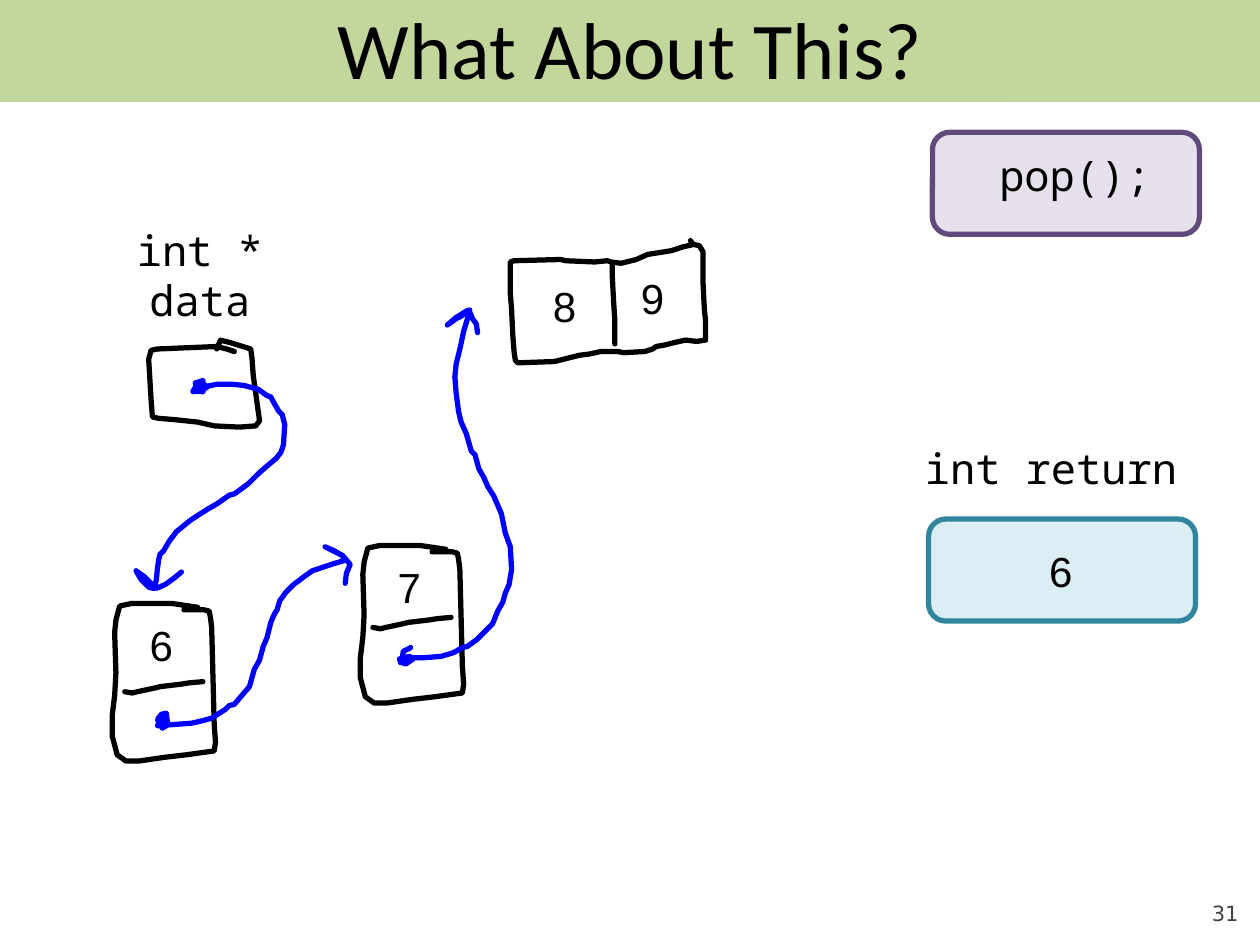
from dataclasses import dataclass

from lxml import etree
from pptx import Presentation
from pptx.dml.color import RGBColor
from pptx.enum.shapes import MSO_SHAPE
from pptx.enum.text import MSO_ANCHOR, MSO_AUTO_SIZE, PP_ALIGN
from pptx.oxml.ns import qn
from pptx.slide import Slide
from pptx.util import Pt

ROUNDED = MSO_SHAPE.ROUNDED_RECTANGLE
LEFT_ALIGN, CENTER, RIGHT = PP_ALIGN.LEFT, PP_ALIGN.CENTER, PP_ALIGN.RIGHT
TOP, MIDDLE, BOTTOM = MSO_ANCHOR.TOP, MSO_ANCHOR.MIDDLE, MSO_ANCHOR.BOTTOM
Points = list[tuple[int, int]]


@dataclass(frozen=True)
class Theme:
    ink: str = "000000"
    pointer: str = "0000FF"
    band: str = "C3D69B"
    call_fill: str = "E6E0EC"
    call_line: str = "604A7B"
    result_fill: str = "DBEEF4"
    result_line: str = "31859C"
    page: str = "424242"
    title_font: str = "Calibri"
    code_font: str = "Noto Sans Mono"
    value_font: str = "Arial"
    page_font: str = "DejaVu Sans"
    title_size: float = 46
    body_size: float = 24
    page_size: float = 12
    stroke: float = 3
    pen_unit: float = 0.72  # one step of the pen grid, in points


THEME = Theme()


@dataclass(frozen=True)
class Box:
    left: float
    top: float
    width: float
    height: float

    def lengths(self) -> tuple[Pt, Pt, Pt, Pt]:
        return Pt(self.left), Pt(self.top), Pt(self.width), Pt(self.height)


@dataclass(frozen=True)
class Panel:
    box: Box
    fill: str
    line: str | None = None
    corner: float = 0.17


@dataclass(frozen=True)
class Label:
    text: str
    box: Box
    font: str = THEME.value_font
    align: PP_ALIGN = RIGHT


@dataclass(frozen=True)
class Node:
    """A linked-list node: pen-grid origins of its outline and its divider."""
    outline: tuple[int, int]
    divider: tuple[int, int]


PANELS = [
    Panel(Box(0, 0, 720, 58.3), THEME.band, corner=0.001),
    Panel(Box(532.8, 75.6, 152.6, 58.3), THEME.call_fill, THEME.call_line),
    Panel(Box(530.6, 296.6, 152.6, 58.3), THEME.result_fill, THEME.result_line),
]

LABELS = [
    Label("int *\ndata", Box(70.6, 124.6, 87.1, 65.5), THEME.code_font, CENTER),
    Label("pop();", Box(563, 82.1, 101.5, 36), THEME.code_font),
    Label("int return", Box(520.6, 249.1, 159.8, 36.7), THEME.code_font, CENTER),
    Label("9", Box(358.6, 151.9, 28.1, 36.7)),
    Label("8", Box(308.2, 157, 28.1, 36.7)),
    Label("7", Box(219.6, 317.5, 28.1, 36.7)),
    Label("6", Box(77.8, 350.6, 28.1, 36.7)),
    Label("6", Box(591.8, 308.2, 28.1, 36.7)),
]

NODES = [Node((285, 433), (296, 498)), Node((88, 479), (99, 549))]

# Pen strokes, in pen-grid units
NODE_OUTLINE: Points = [
    (69, 3), (49, 0), (16, 0), (7, 2), (4, 13), (3, 23), (4, 55), (3, 73), (1, 89),
    (1, 105), (5, 120), (12, 125), (22, 125), (43, 122), (60, 120), (82, 117),
    (83, 110), (82, 96), (80, 19), (79, 11), (78, 6), (74, 5), (58, 5)]
NODE_DIVIDER: Points = [
    (0, 0), (6, 1), (10, 0), (24, -3), (28, -4), (45, -6), (51, -7), (62, -8)]
DATA_BOX: Points = [
    (186, 279), (180, 277), (172, 275), (125, 277), (120, 278), (118, 285), (120, 318),
    (121, 331), (126, 332), (138, 333), (157, 335), (170, 338), (190, 339), (203, 338),
    (206, 334), (201, 298), (200, 284), (199, 277), (183, 272), (175, 270), (172, 277)]
DETACHED_PAIR: Points = [
    (551, 194), (542, 196), (533, 199), (514, 202), (505, 206), (493, 209), (485, 208),
    (482, 207), (472, 208), (449, 207), (445, 206), (408, 207), (405, 208), (405, 233),
    (406, 245), (407, 266), (408, 279), (409, 286), (411, 288), (440, 287), (448, 285),
    (460, 282), (468, 281), (477, 279), (490, 279), (495, 280), (512, 279), (518, 277),
    (521, 275), (527, 274), (535, 272), (544, 270), (553, 271), (560, 270), (560, 255),
    (559, 245), (558, 225), (558, 200), (555, 195), (550, 194), (548, 191)]
PAIR_DIVIDER: Points = [
    (486, 210), (486, 220), (487, 239), (488, 255), (488, 273)]
DATA_TO_SIX: Points = [
    (162, 305), (157, 304), (153, 311), (162, 309), (161, 302), (155, 304), (157, 311),
    (165, 307), (161, 305), (154, 309), (161, 311), (162, 307), (172, 305), (185, 305),
    (194, 306), (205, 309), (212, 314), (215, 315), (217, 319), (221, 326), (224, 329),
    (226, 337), (225, 353), (223, 359), (219, 364), (213, 369), (206, 375), (197, 384),
    (186, 392), (182, 393), (172, 400), (165, 404), (154, 411), (151, 413), (140, 422),
    (134, 430), (130, 437), (127, 440), (126, 444), (125, 451), (124, 461), (122, 467),
    (118, 466), (112, 460), (108, 453), (115, 458), (124, 467), (131, 464), (138, 459),
    (144, 454)]
SIX_TO_SEVEN: Points = [
    (131, 570), (127, 576), (131, 577), (133, 573), (132, 566), (128, 567), (125, 571),
    (129, 578), (132, 574), (131, 571), (127, 572), (125, 576), (152, 574), (161, 572),
    (168, 570), (179, 563), (182, 560), (186, 559), (192, 552), (198, 545), (200, 538),
    (202, 531), (206, 524), (209, 513), (212, 506), (215, 494), (218, 487), (220, 484),
    (222, 477), (227, 470), (233, 464), (241, 458), (248, 453), (266, 447), (273, 445),
    (272, 441), (265, 437), (258, 434), (272, 441), (278, 448), (275, 455), (274, 463)]
SEVEN_TO_EIGHT: Points = [
    (326, 514), (320, 517), (319, 526), (322, 527), (328, 523), (325, 521), (317, 523),
    (318, 526), (322, 525), (328, 522), (337, 522), (350, 521), (360, 518), (367, 514),
    (371, 513), (378, 508), (387, 499), (391, 495), (395, 485), (399, 478), (401, 471),
    (404, 464), (406, 452), (405, 434), (401, 423), (398, 408), (395, 401), (392, 394),
    (387, 386), (384, 379), (380, 372), (377, 361), (374, 358), (370, 344), (366, 335),
    (364, 327), (362, 312), (361, 299), (362, 289), (365, 277), (368, 263), (371, 253),
    (373, 246), (370, 247), (362, 252), (355, 258), (362, 253), (366, 251), (372, 246),
    (375, 253), (378, 257), (379, 264)]


def rgb(value: str) -> RGBColor:
    return RGBColor.from_string(value)


def add_panel(slide: Slide, panel: Panel) -> None:
    shape = slide.shapes.add_shape(ROUNDED, *panel.box.lengths())
    shape.shadow.inherit = False
    shape.adjustments[0] = panel.corner
    shape.fill.solid()
    shape.fill.fore_color.rgb = rgb(panel.fill)
    if panel.line is None:
        shape.line.fill.background()
    else:
        shape.line.color.rgb = rgb(panel.line)
        shape.line.width = Pt(THEME.stroke)


def add_text(slide: Slide, text: str, box: Box, *, font: str, size: float,
             color: str = THEME.ink, align: PP_ALIGN = LEFT_ALIGN,
             anchor: MSO_ANCHOR = TOP, wrap: bool = True, inset: bool = True) -> None:
    frame = slide.shapes.add_textbox(*box.lengths()).text_frame
    frame.word_wrap = wrap
    frame.auto_size = MSO_AUTO_SIZE.NONE if wrap else MSO_AUTO_SIZE.SHAPE_TO_FIT_TEXT
    frame.vertical_anchor = anchor
    if not inset:
        frame.margin_left = frame.margin_right = Pt(0)
        frame.margin_top = frame.margin_bottom = Pt(0)
    frame.text = text
    for paragraph in frame.paragraphs:
        paragraph.alignment = align
        paragraph.font.name = font
        paragraph.font.size = Pt(size)
        paragraph.font.color.rgb = rgb(color)


def add_stroke(slide: Slide, points: Points, color: str = THEME.ink,
               origin: tuple[int, int] = (0, 0)) -> None:
    """Draw an open pen line whose points are offset by origin."""
    start, *rest = [(origin[0] + x, origin[1] + y) for x, y in points]
    builder = slide.shapes.build_freeform(*start, scale=Pt(THEME.pen_unit))
    builder.add_line_segments(rest, close=False)
    shape = builder.convert_to_shape()
    shape.shadow.inherit = False
    shape.fill.background()
    shape.line.color.rgb = rgb(color)
    shape.line.width = Pt(THEME.stroke)
    line = shape.line._get_or_add_ln()
    line.set("cap", "rnd")
    etree.SubElement(line, qn("a:round"))


def main() -> None:
    deck = Presentation()
    deck.slide_width, deck.slide_height = Pt(720), Pt(540)
    slide = deck.slides.add_slide(deck.slide_layouts[6])
    for panel in PANELS:
        add_panel(slide, panel)
    add_text(slide, "What About This?", Box(36, 0, 648, 54), font=THEME.title_font,
             size=THEME.title_size, align=CENTER, anchor=MIDDLE)
    add_text(slide, "31", Box(648, 500.4, 59.8, 28.8), font=THEME.page_font,
             size=THEME.page_size, color=THEME.page, align=RIGHT, anchor=BOTTOM,
             inset=False)
    for node in NODES:
        add_stroke(slide, NODE_OUTLINE, origin=node.outline)
        add_stroke(slide, NODE_DIVIDER, origin=node.divider)
    for outline in (DATA_BOX, DETACHED_PAIR, PAIR_DIVIDER):
        add_stroke(slide, outline)
    for arrow in (DATA_TO_SIX, SIX_TO_SEVEN, SEVEN_TO_EIGHT):
        add_stroke(slide, arrow, THEME.pointer)
    for label in LABELS:
        add_text(slide, label.text, label.box, font=label.font, size=THEME.body_size,
                 align=label.align, wrap=False)
    deck.save("out.pptx")


if __name__ == "__main__":
    main()
